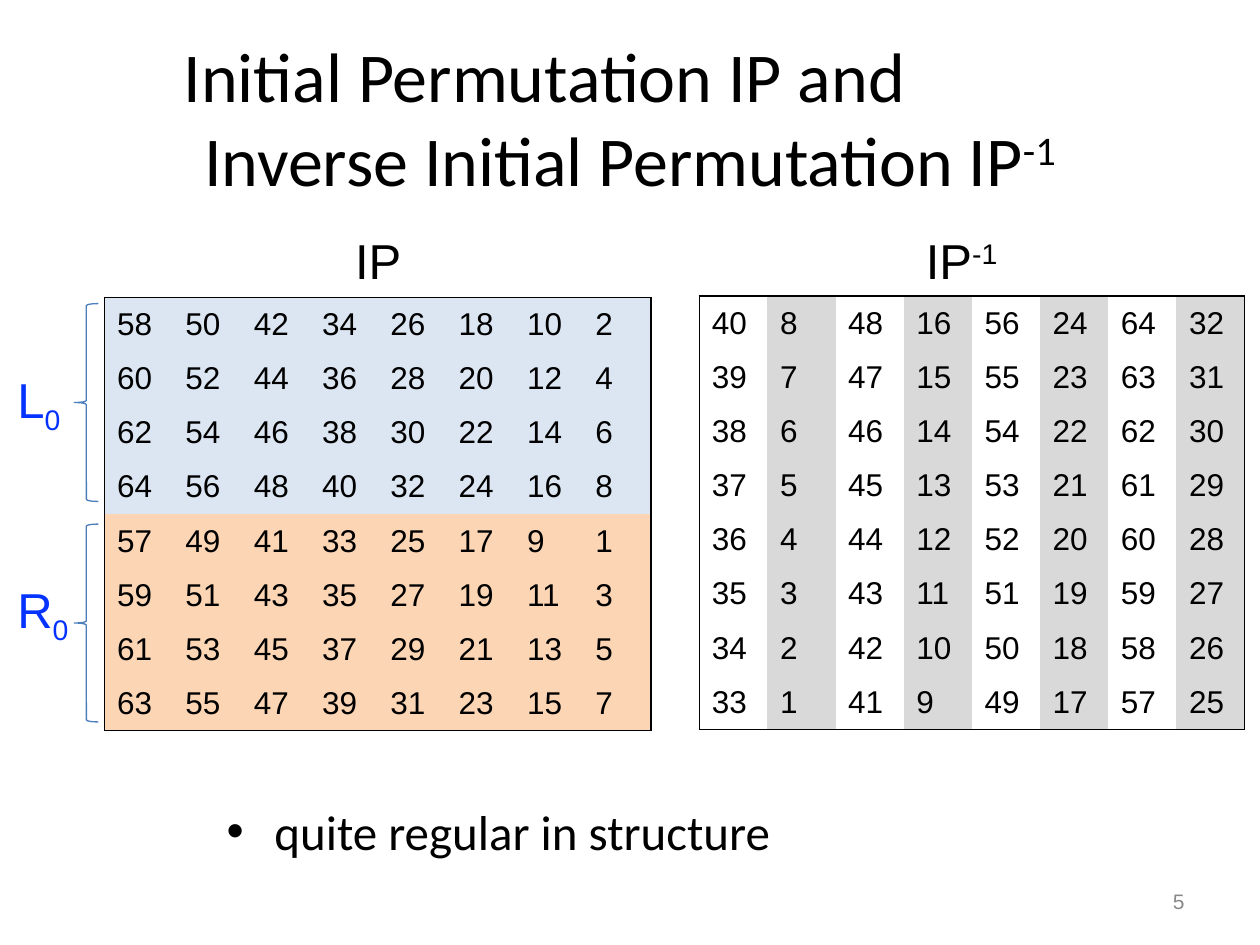
import pptx
import pptx.dml.color
import pptx.enum.shapes
import pptx.enum.text
import pptx.oxml
import pptx.oxml.ns
import pptx.util

Inches = pptx.util.Inches
Pt = pptx.util.Pt
ALIGN = pptx.enum.text.PP_ALIGN
ANCHOR = pptx.enum.text.MSO_ANCHOR
COLORS = {
    "black": "000000", "white": "FFFFFF", "blue": "0432FF", "line": "4B7EBC",
    "left": "DCE6F2", "right": "FCD5B5", "gray": "D9D9D9", "page": "898989",
}
SIZE = 8


def tint(name):
    return pptx.dml.color.RGBColor.from_string(COLORS[name])


def add_run(para, text, size, font="Arial", color="black", base=0):
    run = para.add_run()
    run.text = text
    run.font.size = Pt(size)
    run.font.name = font
    run.font.color.rgb = tint(color)
    if base:
        run.font._element.set("baseline", str(base * 1000))


def add_box(slide, box, anchor=ANCHOR.TOP):
    frame = slide.shapes.add_textbox(*map(Inches, box)).text_frame
    frame.word_wrap = True
    frame.vertical_anchor = anchor
    return frame


def set_edge(cell, row, col):
    """Outline the grid only; inner edges stay open."""
    props = cell._tc.get_or_add_tcPr()
    last = SIZE - 1
    sides = {"lnL": col == 0, "lnR": col == last, "lnT": row == 0, "lnB": row == last}
    for spot, (tag, outer) in enumerate(sides.items()):
        fill = "<a:noFill/>"
        if outer:
            fill = f'<a:solidFill><a:srgbClr val="{COLORS["black"]}"/></a:solidFill>'
        edge = pptx.oxml.parse_xml(
            f'<a:{tag} {pptx.oxml.ns.nsdecls("a")} w="{Pt(1)}">{fill}</a:{tag}>')
        props.insert(spot, edge)


def add_title(slide, box):
    frame = add_box(slide, box, ANCHOR.MIDDLE)
    top = frame.paragraphs[0]
    top._p.get_or_add_pPr().set("marL", str(Inches(0.86)))
    add_run(top, "Initial Permutation IP and", 40, "Calibri")
    low = frame.add_paragraph()
    low.alignment = ALIGN.CENTER
    add_run(low, "Inverse Initial Permutation IP", 40, "Calibri")
    add_run(low, "-1", 40, "Calibri", base=30)


def add_grid(slide, box, value, shade):
    """Table whose numbers and fills follow from row and column."""
    table = slide.shapes.add_table(SIZE, SIZE, *map(Inches, box)).table
    table.first_row = table.horz_banding = False
    for row in range(SIZE):
        for col in range(SIZE):
            cell = table.cell(row, col)
            cell.vertical_anchor = ANCHOR.MIDDLE
            cell.fill.solid()
            cell.fill.fore_color.rgb = tint(shade(row, col))
            add_run(cell.text_frame.paragraphs[0], str(value(row, col)), 18)
            set_edge(cell, row, col)


def add_label(slide, box, text, mark="", base=0, color="black"):
    frame = add_box(slide, box)
    frame.margin_right = 0
    para = frame.paragraphs[0]
    add_run(para, text, 28, color=color)
    if mark:
        add_run(para, mark, 28, color=color, base=base)


def add_brace(slide, box):
    kind = pptx.enum.shapes.MSO_SHAPE.LEFT_BRACE
    brace = slide.shapes.add_shape(kind, *map(Inches, box))
    brace.shadow.inherit = False
    brace.fill.background()
    brace.line.color.rgb = tint("line")
    brace.line.width = Pt(0.75)


def add_bullet(slide, box, text):
    para = add_box(slide, box).paragraphs[0]
    props = para._p.get_or_add_pPr()
    props.set("marL", str(Inches(0.38)))
    props.set("indent", str(-Inches(0.38)))
    space = pptx.oxml.ns.nsdecls("a")
    props.append(pptx.oxml.parse_xml(f'<a:buFont {space} typeface="Arial"/>'))
    props.append(pptx.oxml.parse_xml(f'<a:buChar {space} char="•"/>'))
    add_run(para, text, 28, "Calibri")


def add_number(slide, box, text):
    para = add_box(slide, box, ANCHOR.MIDDLE).paragraphs[0]
    para.alignment = ALIGN.RIGHT
    add_run(para, text, 12, color="page")


def main():
    deck = pptx.Presentation()
    deck.slide_width, deck.slide_height = Inches(10), Inches(7.5)
    slide = deck.slides.add_slide(deck.slide_layouts[6])
    half = SIZE // 2

    add_title(slide, (0.5, 0.3, 9, 1.25))
    add_number(slide, (7.17, 6.95, 2.33, 0.4), "5")

    # Initial permutation: even bits above, odd bits below
    add_grid(slide, (0.83, 2.36, 4.34, 3.44),
             lambda row, col: 58 + 2 * (row % half) - row // half - SIZE * col,
             lambda row, col: "left" if row < half else "right")
    # Inverse: each column counts down from its start
    starts = [start for low in range(8, 33, 8) for start in (low + 32, low)]
    add_grid(slide, (5.55, 2.35, 4.33, 3.44),
             lambda row, col: starts[col] - row,
             lambda row, col: "gray" if col % 2 else "white")
    add_label(slide, (2.72, 1.78, 0.63, 0.57), "IP")
    add_label(slide, (7.25, 1.78, 0.9, 0.57), "IP", "-1", 30)

    # Halves of the block
    for name, top, start in (("L", 2.88, 2.41), ("R", 4.55, 4.16)):
        add_label(slide, (0.04, top, 0.63, 0.57), name, "0", -25, "blue")
        add_brace(slide, (0.59, start, 0.19, 1.57))

    add_bullet(slide, (1.7, 6.31, 6.93, 0.59), "quite regular in structure")
    deck.save("out.pptx")


if __name__ == "__main__":
    main()
